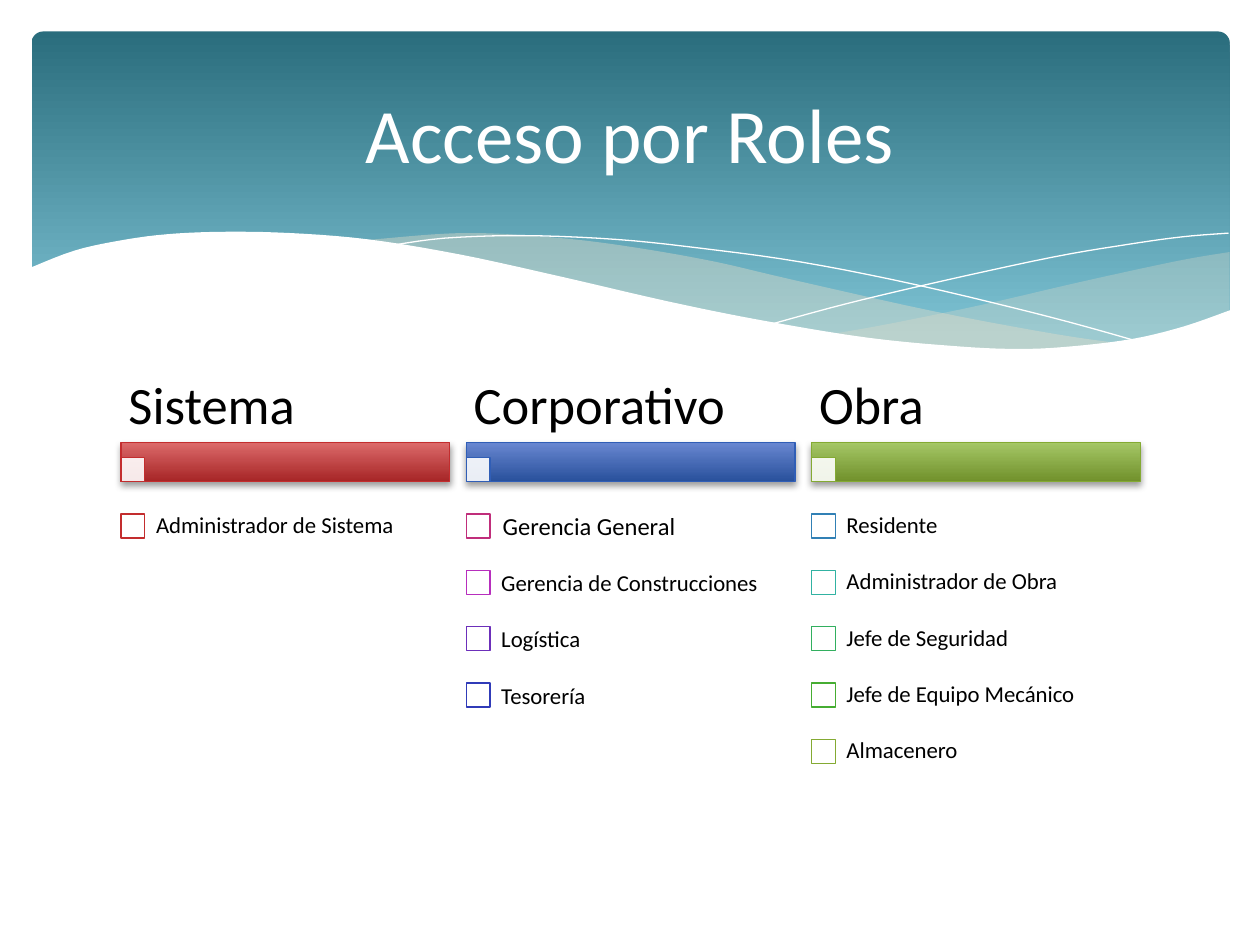
from dataclasses import dataclass

from lxml import etree
from pptx import Presentation
from pptx.dml.color import RGBColor
from pptx.enum.shapes import MSO_SHAPE
from pptx.enum.text import MSO_ANCHOR, PP_ALIGN
from pptx.oxml.ns import qn
from pptx.util import Inches, Pt

RECT = MSO_SHAPE.RECTANGLE
ROUND = MSO_SHAPE.ROUNDED_RECTANGLE
MIDDLE = MSO_ANCHOR.MIDDLE
LEFT = PP_ALIGN.LEFT
CENTER = PP_ALIGN.CENTER
FONT = "Calibri"
WHITE = "FFFFFF"
BLACK = "000000"
SAND = "E7DEC9"

Dots = list[tuple[float, float]]


@dataclass
class Role:
    name: str
    edge: str
    size: float = 13
    inset: float = 0.1


@dataclass
class Group:
    name: str
    top: str
    base: str
    edge: str
    roles: list[Role]
    space: float = 0.9


GROUPS = [
    Group("Sistema", "DC6A6A", "A72627", "C32D2E", [
        Role("Administrador de Sistema", "C32D2E"),
    ]),
    Group("Corporativo", "6987D1", "29519C", "305EB6", [
        Role("Gerencia General", "C02E7B", 14, 0.11),
        Role("Gerencia de Construcciones", "B72EBD"),
        Role("Logística", "6C2FBA"),
        Role("Tesorería", "303BB8"),
    ], 1.0),
    Group("Obra", "A5C766", "71912C", "84AA33", [
        Role("Residente", "3180B5"),
        Role("Administrador de Obra", "31B2A2"),
        Role("Jefe de Seguridad", "32AF5F"),
        Role("Jefe de Equipo Mecánico", "46AD32"),
        Role("Almacenero", "84AA33"),
    ]),
]

EAST_TOP = [(9.76, 2), (9.35, 2.07), (8.61, 2.23), (7.79, 2.42), (7.06, 2.57), (6.61, 2.65)]
EAST_LOW = [(6.61, 2.65), (7.05, 2.71), (7.57, 2.76), (8.03, 2.78), (8.54, 2.76),
            (8.97, 2.7), (9.35, 2.62), (9.76, 2.47)]
MID_TOP = [(8.93, 2.73), (8.37, 2.65), (7.41, 2.47), (6.29, 2.22), (5.69, 2.08),
           (5.14, 1.98), (4.65, 1.91), (4.2, 1.87), (3.8, 1.85), (3.44, 1.86), (2.86, 1.91)]
MID_LOW = [(2.86, 1.91), (3.42, 1.99), (4.04, 2.11), (4.91, 2.32), (5.66, 2.48),
           (6.34, 2.61), (6.95, 2.7), (7.48, 2.76), (7.96, 2.78), (8.48, 2.77), (8.93, 2.73)]
FALL = [(3.09, 1.95), (3.53, 1.89), (4.16, 1.87), (4.89, 1.9), (5.56, 1.97),
        (6.36, 2.08), (7.27, 2.26), (8.31, 2.51), (9.07, 2.72)]
RISE = [(6.13, 2.57), (6.72, 2.41), (7.48, 2.23), (8.36, 2.04), (8.95, 1.94),
        (9.38, 1.88), (9.75, 1.85)]
FRONT = [(9.77, 2.46), (9.4, 2.59), (8.99, 2.69), (8.5, 2.75), (8.09, 2.77),
         (7.61, 2.75), (6.88, 2.68), (6.03, 2.54), (5.29, 2.39), (4.47, 2.2),
         (3.65, 2.02), (2.92, 1.9), (2.3, 1.85), (1.77, 1.84), (1.32, 1.86),
         (0.95, 1.91), (0.59, 1.99), (0.23, 2.13)]


def tint(color, code: str) -> None:
    color.rgb = RGBColor.from_string(code)


def paint(shape, fill: str | None = None, edge: str | None = None,
          width: float = 0.75, alpha: int = 100) -> None:
    shape.shadow.inherit = False
    if fill:
        shape.fill.solid()
        tint(shape.fill.fore_color, fill)
        if alpha < 100:
            node = shape.fill._xPr.find(".//" + qn("a:srgbClr"))
            etree.SubElement(node, qn("a:alpha"), val=str(alpha * 1000))
    else:
        shape.fill.background()
    if edge:
        tint(shape.line.color, edge)
        shape.line.width = Pt(width)
    else:
        shape.line.fill.background()


def blend(shape, top: str, base: str, end: float = 1) -> None:
    shape.fill.gradient()
    shape.fill.gradient_angle = 270
    for stop, code, spot in zip(shape.fill.gradient_stops, (top, base), (0, end)):
        tint(stop.color, code)
        stop.position = spot


def shade(shape) -> None:
    glow = etree.SubElement(shape._element.spPr.find(qn("a:effectLst")), qn("a:outerShdw"),
                            blurRad=str(Pt(4)), dist=str(Pt(2)), dir="5400000", rotWithShape="0")
    color = etree.SubElement(glow, qn("a:srgbClr"), val=BLACK)
    etree.SubElement(color, qn("a:alpha"), val="38000")


def block(slide, kind, x: float, y: float, w: float, h: float, **look):
    shape = slide.shapes.add_shape(kind, Inches(x), Inches(y), Inches(w), Inches(h))
    paint(shape, **look)
    return shape


def write(shape, text: str, size: float, color: str = BLACK, align=LEFT,
          pad: tuple[float, float] = (0.1, 0.05), space: float = 1.0) -> None:
    frame = shape.text_frame
    frame.word_wrap = True
    frame.vertical_anchor = MIDDLE
    frame.margin_left = frame.margin_right = Inches(pad[0])
    frame.margin_top = frame.margin_bottom = Inches(pad[1])
    line = frame.paragraphs[0]
    line.alignment = align
    line.line_spacing = space
    run = line.add_run()
    run.text = text
    run.font.name = FONT
    run.font.size = Pt(size)
    tint(run.font.color, color)


def label(slide, x: float, y: float, w: float, h: float, text: str, **look) -> None:
    box = slide.shapes.add_textbox(Inches(x), Inches(y), Inches(w), Inches(h))
    write(box, text, **look)


def smooth(dots: Dots, steps: int = 5) -> Dots:
    ends = [dots[0], *dots, dots[-1]]
    curve = [dots[0]]
    for a, b, c, d in zip(ends, ends[1:], ends[2:], ends[3:]):
        for n in range(1, steps + 1):
            t = n / steps
            x, y = (
                b[i] + t / 2 * (c[i] - a[i]
                                + t * (2 * a[i] - 5 * b[i] + 4 * c[i] - d[i])
                                + t * t * (3 * b[i] - a[i] - 3 * c[i] + d[i]))
                for i in (0, 1)
            )
            curve.append((x, y))
    return curve


def wave(slide, dots: Dots, close: bool = True, **look) -> None:
    first, *rest = [(Inches(x), Inches(y)) for x, y in dots]
    path = slide.shapes.build_freeform(*first)
    path.add_line_segments(rest, close=close)
    paint(path.convert_to_shape(), **look)


def header(slide) -> None:
    panel = block(slide, ROUND, 0.25, 0.25, 9.51, 2.7)
    panel.adjustments[0] = 0.034
    blend(panel, "2A6D7D", "7EC3D4", 0.9)
    wave(slide, smooth(EAST_TOP) + smooth(EAST_LOW), fill=SAND, alpha=29)
    wave(slide, smooth(MID_TOP) + smooth(MID_LOW), fill=SAND, alpha=40)
    for dots in (FALL, RISE):
        wave(slide, smooth(dots), close=False, edge=WHITE, width=0)
    wave(slide, smooth(FRONT) + [(0.23, 3.29), (9.77, 3.29)], fill=WHITE)


def column(slide, x: float, group: Group) -> None:
    bar = block(slide, RECT, x, 3.51, 2.61, 0.31, edge=group.edge)
    blend(bar, group.top, group.base)
    shade(bar)
    block(slide, RECT, x, 3.63, 0.19, 0.19, fill=WHITE, edge=group.edge, alpha=90)
    label(slide, x, 2.96, 2.61, 0.55, group.name, size=30, pad=(0.06, 0.04), space=0.9)
    for row, role in enumerate(group.roles):
        y = 3.95 + row * 0.447
        block(slide, RECT, x, y + 0.13, 0.19, 0.19, fill=WHITE, edge=role.edge)
        label(slide, x + 0.18, y, 2.43, 0.45, role.name, size=role.size,
              pad=(role.inset, role.inset), space=group.space)


def main() -> None:
    deck = Presentation()
    deck.slide_width, deck.slide_height = Inches(10), Inches(7.5)
    slide = deck.slides.add_slide(deck.slide_layouts[5])
    header(slide)
    for n, group in enumerate(GROUPS):
        column(slide, 0.96 + n * 2.74, group)
    title = slide.shapes.title
    title.left, title.top = Inches(0.5), Inches(0.37)
    title.width, title.height = Inches(9), Inches(1.37)
    write(title, "Acceso por Roles", 44, color=WHITE, align=CENTER)
    slide.shapes._spTree.append(title._element)
    deck.save("out.pptx")


if __name__ == "__main__":
    main()
